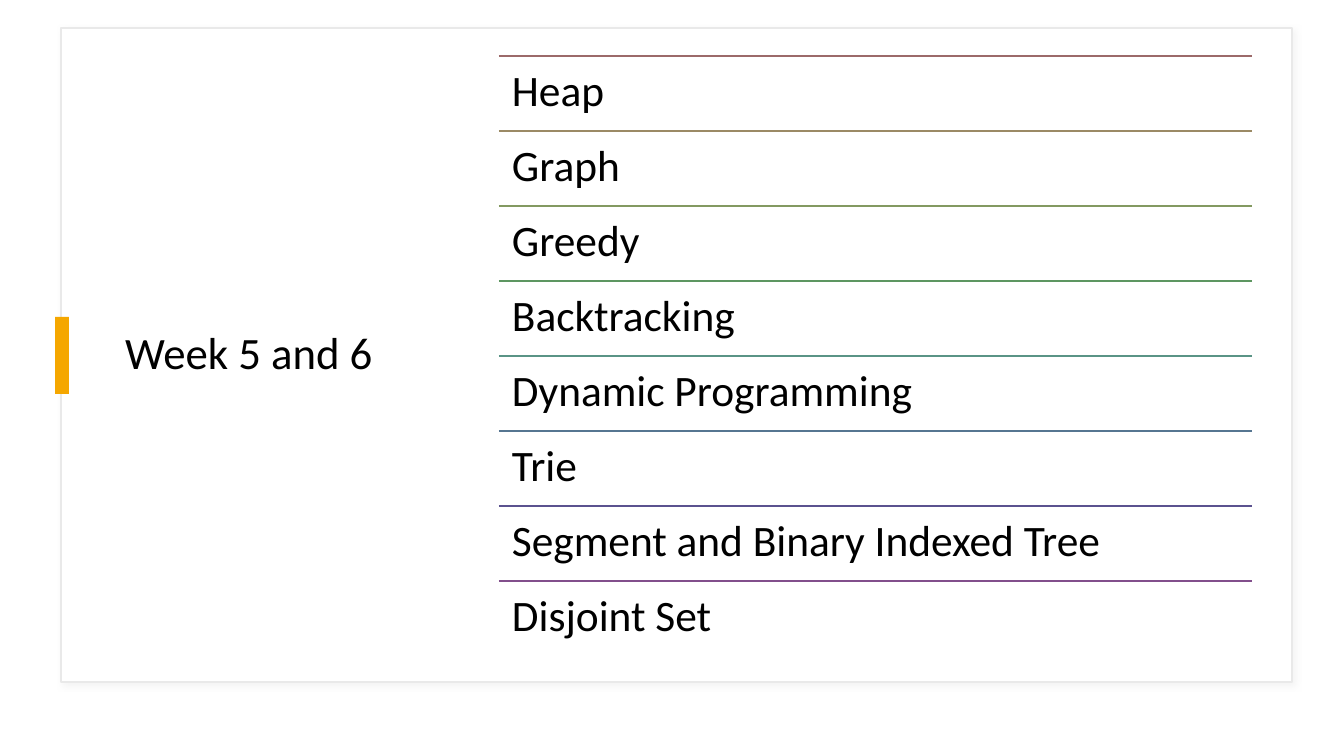
from dataclasses import dataclass

from lxml.etree import SubElement
from pptx import Presentation
from pptx.dml.color import RGBColor
from pptx.enum.shapes import MSO_CONNECTOR, MSO_SHAPE
from pptx.enum.text import MSO_ANCHOR, MSO_AUTO_SIZE, PP_ALIGN
from pptx.oxml.ns import qn
from pptx.util import Emu, Pt

SCALE = 914400 / 100.8
FONT = "Calibri"
BLACK, WHITE, AMBER = "000000", "FFFFFF", "F5A700"
EDGE, SHADE = "E9E9E9", "D9D9D9"
LEFT, TOP, WIDTH, STEP, INSET = 499, 56, 753, 75, 13


@dataclass
class Topic:
    """One row of the list: its words and the colour of its rule."""
    text: str
    color: str


TOPICS = [
    Topic("Heap", "9C6A6A"),
    Topic("Graph", "9B8A65"),
    Topic("Greedy", "839961"),
    Topic("Backtracking", "5D9661"),
    Topic("Dynamic Programming", "5A9486"),
    Topic("Trie", "567691"),
    Topic("Segment and Binary Indexed Tree", "5B528F"),
    Topic("Disjoint Set", "824F8C"),
]


def px(num: float) -> Emu:
    """Turn pixels into EMU."""
    return Emu(round(num * SCALE))


def paint(color, code: str) -> None:
    """Set a colour format from a hex string."""
    color.rgb = RGBColor.from_string(code)


def write(frame, text: str, size: int, anchor, inset: int) -> None:
    """Write one left-aligned line of text into a frame."""
    frame.word_wrap = True
    frame.auto_size = MSO_AUTO_SIZE.NONE
    frame.vertical_anchor = anchor
    frame.margin_left = frame.margin_right = px(inset)
    frame.margin_top = frame.margin_bottom = px(inset)
    para = frame.paragraphs[0]
    para.alignment = PP_ALIGN.LEFT
    para.line_spacing = 0.9
    run = para.add_run()
    run.text = text
    run.font.size = Pt(size)
    run.font.name = FONT
    paint(run.font.color, BLACK)


def block(shapes, x: int, y: int, w: int, h: int, fill: str):
    """Add a plain filled box with no line and no shadow."""
    box = shapes.add_shape(MSO_SHAPE.RECTANGLE, px(x), px(y), px(w), px(h))
    box.shadow.inherit = False
    box.fill.solid()
    paint(box.fill.fore_color, fill)
    box.line.fill.background()
    return box


def shade(box) -> None:
    """Give a box a soft shadow to the lower right."""
    effects = box.element.spPr.find(qn("a:effectLst"))
    outer = SubElement(effects, qn("a:outerShdw"), blurRad=str(Pt(4)),
                       dist=str(Pt(3)), dir=str(45 * 60000))
    tint = SubElement(outer, qn("a:srgbClr"), val=SHADE)
    SubElement(tint, qn("a:alpha"), val="30000")


def row(shapes, topic: Topic, y: int) -> None:
    """Add one topic below its coloured rule."""
    rule = shapes.add_connector(MSO_CONNECTOR.STRAIGHT, px(LEFT), px(y),
                                px(LEFT + WIDTH), px(y))
    rule.line.width = Pt(1)
    paint(rule.line.color, topic.color)
    SubElement(rule.element.spPr, qn("a:effectLst"))
    box = shapes.add_textbox(px(LEFT), px(y), px(WIDTH), px(STEP))
    write(box.text_frame, topic.text, 31, MSO_ANCHOR.TOP, INSET)


def main() -> None:
    """Build and save the slide."""
    deck = Presentation()
    deck.slide_width, deck.slide_height = px(1344), px(756)
    slide = deck.slides.add_slide(deck.slide_layouts[5])
    slide.background.fill.solid()
    paint(slide.background.fill.fore_color, WHITE)
    shapes = slide.shapes

    card = block(shapes, 61, 28, 1231, 654, WHITE)
    card.line.width = Pt(1)
    paint(card.line.color, EDGE)
    shade(card)

    title = shapes.title
    title.left, title.top = px(115), px(55)
    title.width, title.height = px(330), px(600)
    write(title.text_frame, "Week 5 and 6", 32, MSO_ANCHOR.MIDDLE, 10)
    card.element.addnext(title.element)

    block(shapes, 55, 317, 14, 77, AMBER)
    group = shapes.add_group_shape()
    for i, topic in enumerate(TOPICS):
        row(group.shapes, topic, TOP + i * STEP)
    deck.save("out.pptx")


main()
